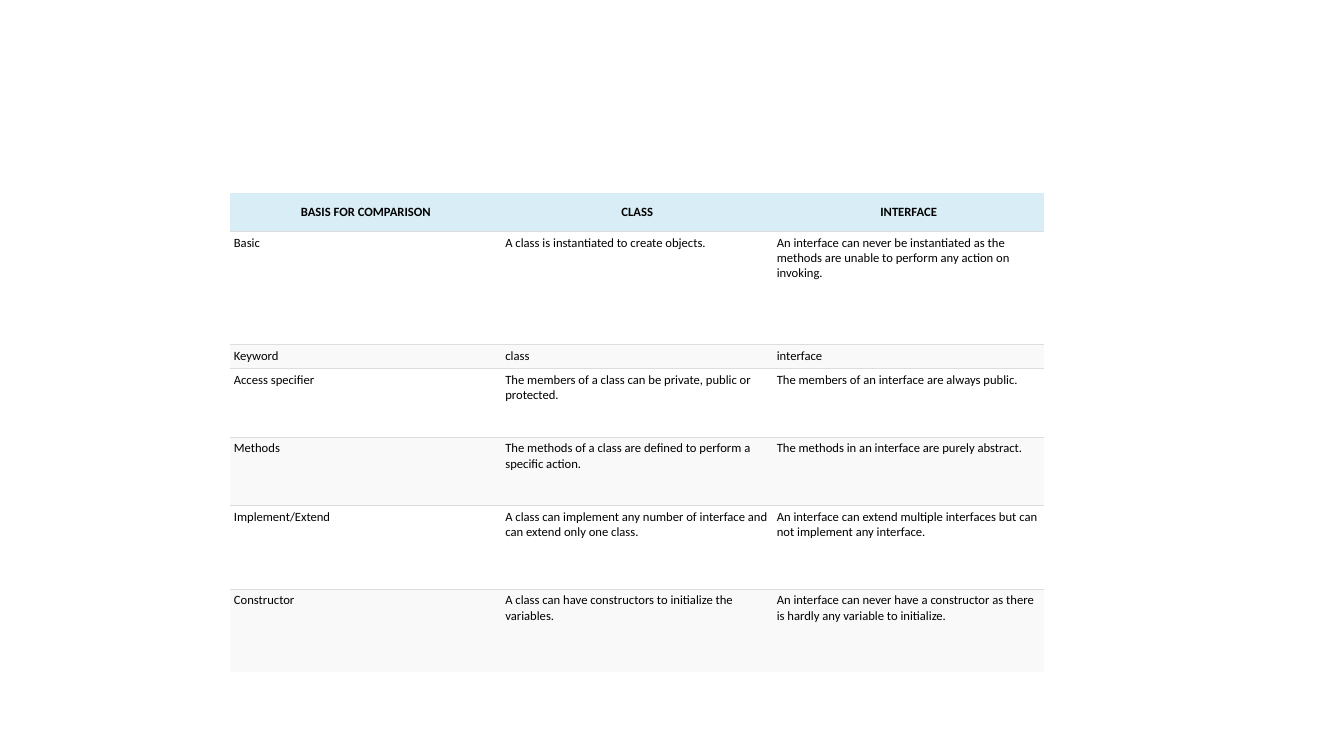
import pptx
import pptx.util
import pptx.dml.color
import pptx.enum.text
import pptx.oxml
import pptx.oxml.ns
import lxml.etree

Pt = pptx.util.Pt
RGB = pptx.dml.color.RGBColor
HEAD = RGB(0xD9, 0xED, 0xF7)
WHITE = RGB(0xFF, 0xFF, 0xFF)
BAND = RGB(0xF9, 0xF9, 0xF9)
RULE = RGB(0xDD, 0xDD, 0xDD)
BLACK = RGB(0, 0, 0)

LEFT, TOP, WIDTH = 164.3, 137.8, 193.9
TALL = [27.4, 81, 17, 49, 49, 59.6, 59.6]
ROWS = [
    ("BASIS FOR COMPARISON", "CLASS", "INTERFACE"),
    ("Basic", "A class is instantiated to create objects.",
     "An interface can never be instantiated as the methods are unable "
     "to perform any action on invoking."),
    ("Keyword", "class", "interface"),
    ("Access specifier",
     "The members of a class can be private, public or protected.",
     "The members of an interface are always public."),
    ("Methods",
     "The methods of a class are defined to perform a specific action.",
     "The methods in an interface are purely abstract."),
    ("Implement/Extend",
     "A class can implement any number of interface and can extend only one class.",
     "An interface can extend multiple interfaces but can not implement any interface."),
    ("Constructor",
     "A class can have constructors to initialize the variables.",
     "An interface can never have a constructor as there is hardly any "
     "variable to initialize."),
]


def add_edge(cell, side, shown):
    qn = pptx.oxml.ns.qn
    props = cell._tc.get_or_add_tcPr()
    line = lxml.etree.SubElement(props, qn("a:ln" + side))
    if shown:
        line.set("w", str(Pt(0.75)))
        fill = lxml.etree.SubElement(line, qn("a:solidFill"))
        lxml.etree.SubElement(fill, qn("a:srgbClr")).set("val", str(RULE))
    else:
        lxml.etree.SubElement(line, qn("a:noFill"))


def fill_cell(cell, text, row):
    head = row == 0
    for side in "LRTB":
        shown = (side == "T" and not head) or (side == "B" and row < len(ROWS) - 1)
        add_edge(cell, side, shown)
    cell.fill.solid()
    cell.fill.fore_color.rgb = HEAD if head else WHITE if row % 2 else BAND
    cell.margin_left = cell.margin_right = Pt(2.8)
    cell.margin_top = cell.margin_bottom = Pt(2.8)
    anchor = pptx.enum.text.MSO_ANCHOR
    cell.vertical_anchor = anchor.MIDDLE if head else anchor.TOP
    cell.text_frame.text = text
    para = cell.text_frame.paragraphs[0]
    align = pptx.enum.text.PP_ALIGN
    para.alignment = align.CENTER if head else align.LEFT
    font = para.runs[0].font
    font.name, font.size, font.bold = "Calibri", Pt(9), head
    font.color.rgb = BLACK


def add_grid(slide):
    cols = len(ROWS[0])
    frame = slide.shapes.add_table(
        len(ROWS), cols, Pt(LEFT), Pt(TOP), Pt(WIDTH * cols), Pt(sum(TALL)))
    table = frame.table
    table.first_row = table.horz_banding = False
    for col in table.columns:
        col.width = Pt(WIDTH)
    for row, texts in enumerate(ROWS):
        table.rows[row].height = Pt(TALL[row])
        for col, text in enumerate(texts):
            fill_cell(table.cell(row, col), text, row)


def main():
    deck = pptx.Presentation()
    deck.slide_width, deck.slide_height = Pt(960), Pt(540)
    slide = deck.slides.add_slide(deck.slide_layouts[6])
    add_grid(slide)
    deck.save("out.pptx")


if __name__ == "__main__":
    main()
